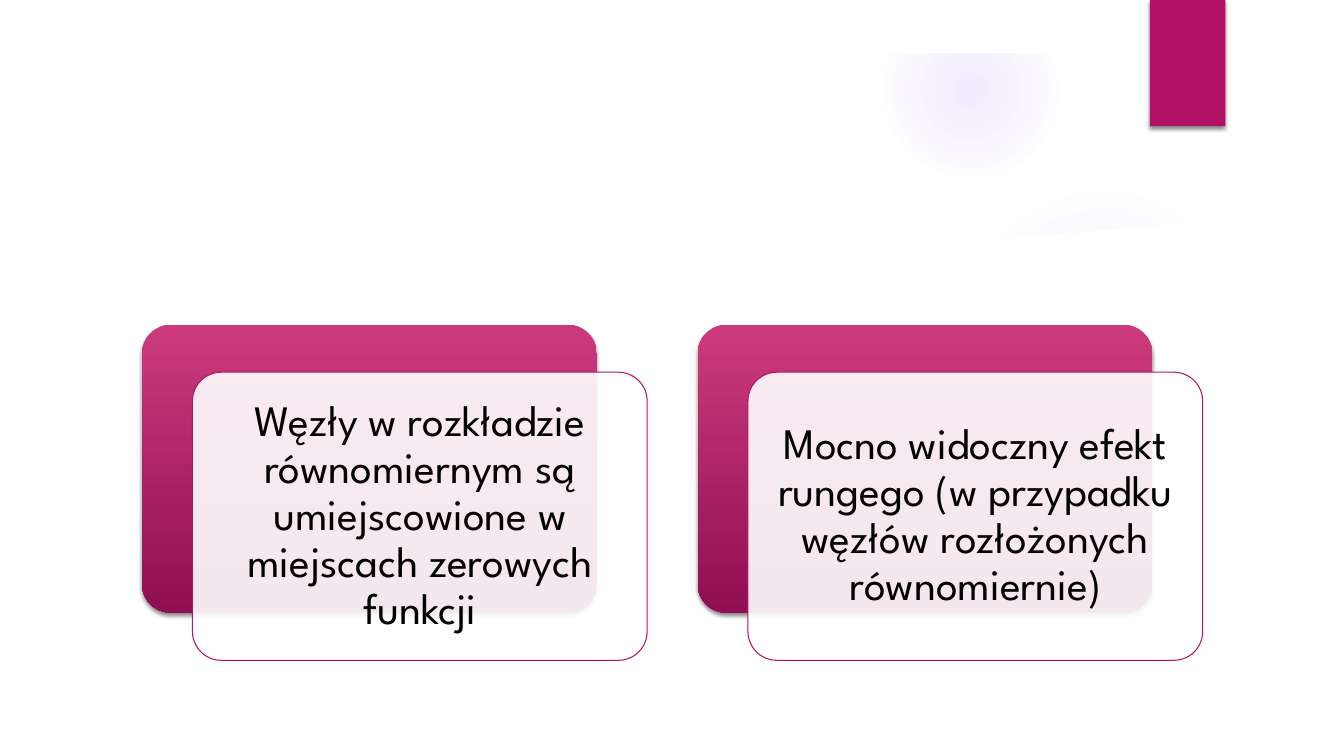
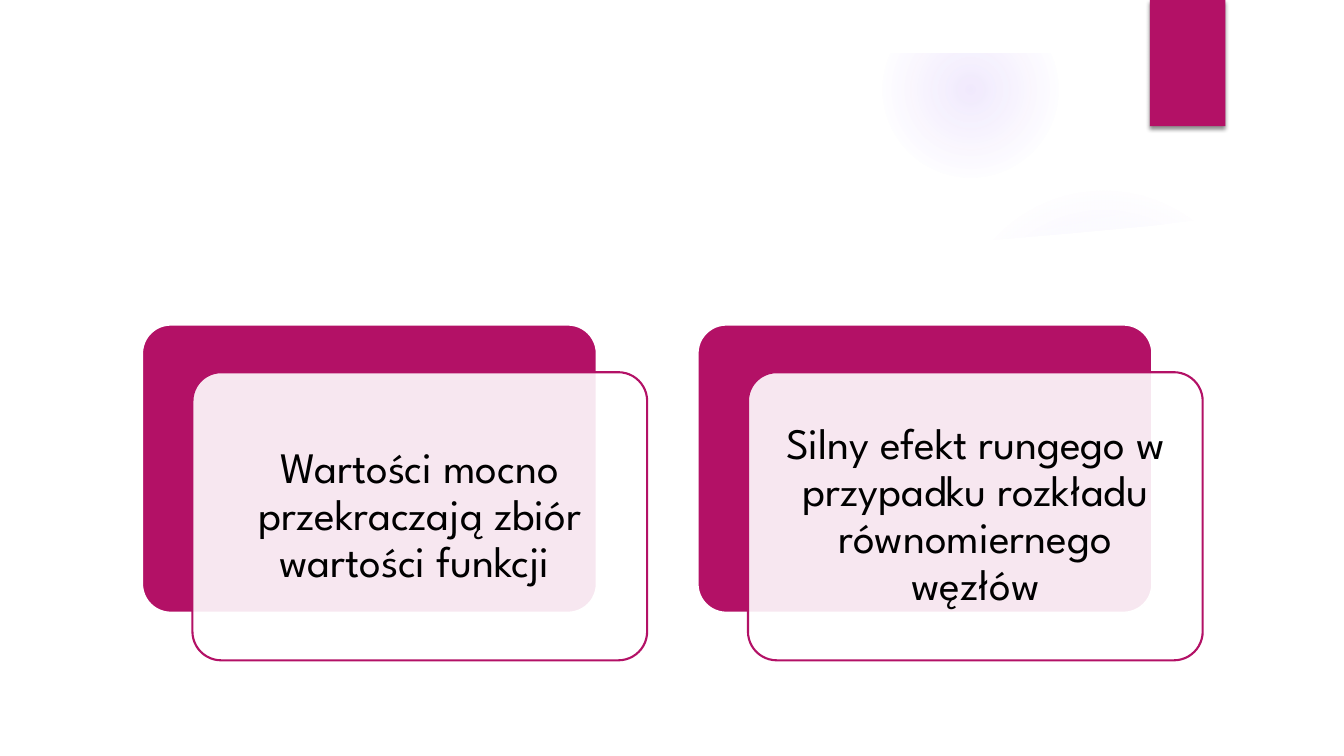
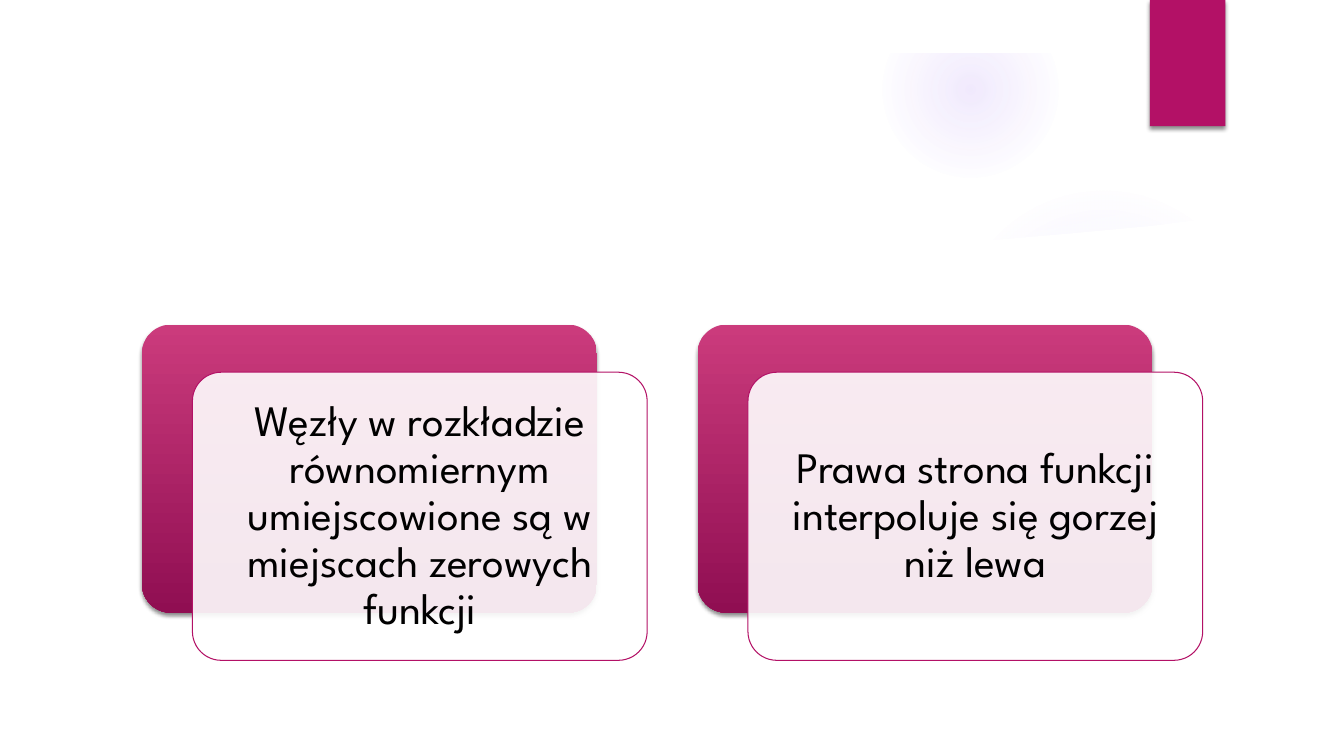
from pptx import Presentation
from pptx.dml.color import RGBColor
from pptx.enum.shapes import MSO_SHAPE
from pptx.enum.text import MSO_ANCHOR, PP_ALIGN
from pptx.oxml import parse_xml
from pptx.oxml.ns import nsdecls, qn
from pptx.util import Cm, Pt

COLORS = {
    "white": "FFFFFF",
    "black": "000000",
    "accent": "B31166",
    "accent_light": "CB3B7C",
    "accent_dark": "900E52",
    "glow": "9B6BF2",
}
FONT = "League Spartan"
SLIDE_WIDTH, SLIDE_HEIGHT = 33.87, 19.05

# Lengths in centimetres: left, top, size, then stops of position and opacity
GLOWS = [
    (23.9, 4.65, 7.82, [(0, 7), (36, 6), (69, 0)]),
    (22.23, 0.03, 4.45, [(0, 14), (36, 7), (73, 0)]),
]
STREAK = [
    (23.62, 6.17), (26.47, 5.77), (29.34, 5.16), (32.59, 4.22),
    (32.74, 5.44), (28, 6.05), (23.72, 6.35),
]
PANEL = [
    (1.27, 17.78), (1.27, 5.18), (4.04, 5.54), (8.15, 5.92), (12.98, 6.2),
    (17.98, 6.3), (22.71, 6.2), (24.79, 6.07), (26.92, 5.89),
    (29.06, 5.69), (31.19, 5.41), (32.61, 5.18), (32.61, 17.78),
]

CARD_LEFT, CARD_TOP, CARD_STEP = 3.58, 8.18, 14
CARD_WIDTH, CARD_HEIGHT = 11.46, 7.26
FRONT_SHIFT_X, FRONT_SHIFT_Y = 1.27, 1.2

# Whether the cards are shaded, then the text of each card
SLIDES = [
    (True, [
        "Węzły w rozkładzie równomiernym są umiejscowione w miejscach zerowych funkcji",
        "Mocno widoczny efekt rungego (w przypadku węzłów rozłożonych równomiernie)",
    ]),
    (False, [
        "Wartości mocno przekraczają zbiór wartości funkcji ",
        "Silny efekt rungego w przypadku rozkładu równomiernego węzłów",
    ]),
    (True, [
        "Węzły w rozkładzie równomiernym umiejscowione są w miejscach zerowych funkcji",
        "Prawa strona funkcji interpoluje się gorzej niż lewa",
    ]),
]


def rgb(name):
    return RGBColor.from_string(COLORS[name])


def style_shape(shape, fill=None, opacity=100, line=None, line_width=0.75):
    shape.shadow.inherit = False
    if fill:
        shape.fill.solid()
        shape.fill.fore_color.rgb = rgb(fill)
        if opacity < 100:
            color = shape.element.spPr.find(qn("a:solidFill"))[0]
            color.append(parse_xml(
                f'<a:alpha {nsdecls("a")} val="{opacity * 1000}"/>'))
    if line:
        shape.line.color.rgb = rgb(line)
        shape.line.width = Pt(line_width)
    else:
        shape.line.fill.background()
    return shape


def add_box(page, kind, left, top, width, height, **style):
    box = page.shapes.add_shape(kind, Cm(left), Cm(top), Cm(width), Cm(height))
    return style_shape(box, **style)


def add_outline(page, points, **style):
    start, *others = [(Cm(x), Cm(y)) for x, y in points]
    builder = page.shapes.build_freeform(*start)
    builder.add_line_segments(others, close=True)
    return style_shape(builder.convert_to_shape(), **style)


def set_gradient(shape, stops, radial=False):
    """Fill with stops of position, colour name and opacity in percent."""
    stop_xml = "".join(
        f'<a:gs pos="{position * 1000}"><a:srgbClr val="{COLORS[name]}">'
        f'<a:alpha val="{opacity * 1000}"/></a:srgbClr></a:gs>'
        for position, name, opacity in stops)
    if radial:
        course = ('<a:path path="circle"><a:fillToRect l="50000" t="50000" '
                  'r="50000" b="50000"/></a:path>')
    else:
        course = '<a:lin ang="5400000" scaled="0"/>'
    shape.fill.gradient()
    properties = shape.element.spPr
    properties.replace(properties.find(qn("a:gradFill")), parse_xml(
        f'<a:gradFill {nsdecls("a")} rotWithShape="1">'
        f'<a:gsLst>{stop_xml}</a:gsLst>{course}</a:gradFill>'))


def add_shadow(shape):
    shape.element.spPr.find(qn("a:effectLst")).append(parse_xml(
        f'<a:outerShdw {nsdecls("a")} blurRad="{Pt(3)}" dist="{Pt(2)}" '
        f'dir="5400000" rotWithShape="0"><a:srgbClr val="{COLORS["black"]}">'
        '<a:alpha val="45000"/></a:srgbClr></a:outerShdw>'))


def write_text(box, text, size=31, color="black", align=PP_ALIGN.CENTER,
               anchor=MSO_ANCHOR.MIDDLE, margin=0.33, spacing=0.9):
    frame = box.text_frame
    frame.word_wrap = True
    frame.vertical_anchor = anchor
    frame.margin_left = frame.margin_right = Cm(margin)
    frame.margin_top = frame.margin_bottom = Cm(margin)
    para = frame.paragraphs[0]
    para.alignment = align
    para.line_spacing = spacing
    span = para.add_run()
    span.text = text
    span.font.name = FONT
    span.font.size = Pt(size)
    span.font.color.rgb = rgb(color)


def draw_backdrop(page):
    """Draw the glows, the white areas that crop them, and the top tab."""
    for left, top, size, stops in GLOWS:
        glow = add_box(page, MSO_SHAPE.OVAL, left, top, size, size)
        set_gradient(glow, [(position, "glow", opacity)
                            for position, opacity in stops], radial=True)
    add_outline(page, STREAK, fill="white", opacity=20)
    add_outline(page, PANEL, fill="white")
    border = add_box(page, MSO_SHAPE.FRAME, 0, 0, SLIDE_WIDTH, SLIDE_HEIGHT,
                     fill="white")
    border.adjustments[0] = 0.07
    tab = add_box(page, MSO_SHAPE.RECTANGLE, 28.98, 0, 1.9, 3.18, fill="accent")
    add_shadow(tab)


def draw_card(page, left, top, text, shaded):
    """Draw a coloured card with a translucent text card shifted over it."""
    size = (CARD_WIDTH, CARD_HEIGHT)
    if shaded:
        back = add_box(page, MSO_SHAPE.ROUNDED_RECTANGLE, left, top, *size)
        set_gradient(back, [(0, "accent_light", 100), (100, "accent_dark", 100)])
        add_shadow(back)
    else:
        back = add_box(page, MSO_SHAPE.ROUNDED_RECTANGLE, left, top, *size,
                       fill="accent", line="white", line_width=1.5)
    front = add_box(page, MSO_SHAPE.ROUNDED_RECTANGLE,
                    left + FRONT_SHIFT_X, top + FRONT_SHIFT_Y, *size,
                    fill="white", opacity=90, line="accent",
                    line_width=0.75 if shaded else 1.5)
    for card in (back, front):
        card.adjustments[0] = 0.1
    write_text(front, text)


def main():
    deck = Presentation()
    deck.slide_width, deck.slide_height = Cm(SLIDE_WIDTH), Cm(SLIDE_HEIGHT)
    for shaded, texts in SLIDES:
        page = deck.slides.add_slide(deck.slide_layouts[6])
        draw_backdrop(page)
        for column, text in enumerate(texts):
            draw_card(page, CARD_LEFT + column * CARD_STEP, CARD_TOP, text, shaded)
    deck.save("out.pptx")


if __name__ == "__main__":
    main()
